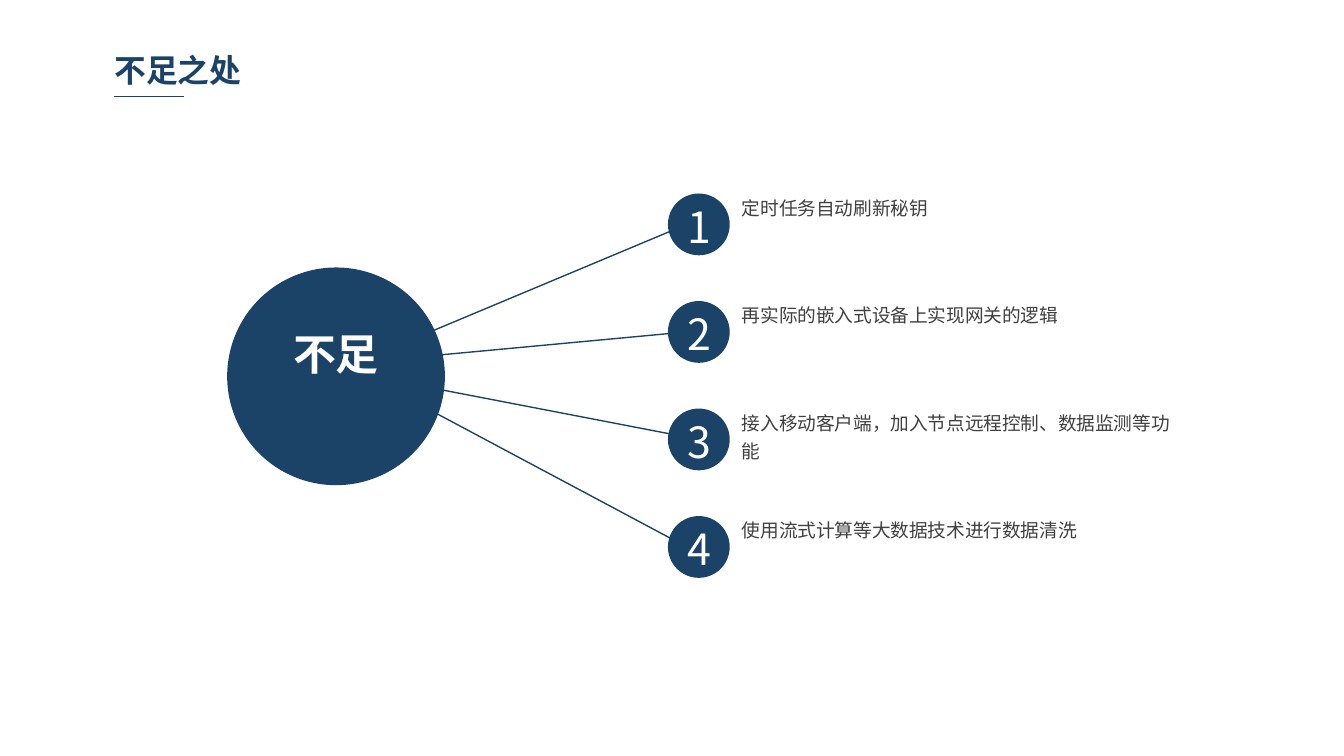
"""Build a slide that links one hub circle to four numbered shortcomings."""
from dataclasses import dataclass

from lxml.etree import SubElement
from pptx import Presentation
from pptx.dml.color import RGBColor
from pptx.enum.shapes import MSO_CONNECTOR as CONN, MSO_SHAPE as SHAPE
from pptx.enum.text import MSO_ANCHOR as ANCHOR, MSO_AUTO_SIZE as AUTO, PP_ALIGN as ALIGN
from pptx.oxml.ns import qn
from pptx.util import Inches, Pt

WIDTH = 10
HEIGHT = WIDTH * 9 / 16
NAVY, GREY, WHITE = "1B4367", "404040", "FFFFFF"
FONT = "Noto Sans CJK SC"
TOP, PITCH = 1.44, 0.8
DOT_LEFT, DOT_SIZE = 4.97, 0.46
HUB_LEFT, HUB_TOP, HUB_SIZE = 1.69, 1.99, 1.62

Point = tuple[float, float]


@dataclass(frozen=True)
class Item:
    text: str
    start: Point
    end: Point
    lines: int = 1


@dataclass(frozen=True)
class Style:
    size: float
    color: str
    bold: bool = False
    align: ALIGN = ALIGN.LEFT
    spacing: float | None = None
    inset: Point = (0.07, 0.04)


TITLE = Style(17, NAVY, bold=True)
BODY = Style(10, GREY, spacing=15)
NUMBER = Style(23, WHITE, align=ALIGN.CENTER, inset=(0.1, 0.05))
HUB = Style(23, WHITE, bold=True, align=ALIGN.CENTER, inset=(0.1, 0.05))

ITEMS = [
    Item("定时任务自动刷新秘钥", (2.65, 2.7), (5.11, 1.67)),
    Item("再实际的嵌入式设备上实现网关的逻辑", (2.64, 2.7), (5.11, 2.47)),
    Item("接入移动客户端，加入节点远程控制、数据监测等功能", (2.71, 2.79), (5.2, 3.27), 2),
    Item("使用流式计算等大数据技术进行数据清洗", (2.71, 2.79), (5.11, 4.07)),
]


def rgb(color: str) -> RGBColor:
    return RGBColor.from_string(color)


def box(*lengths: float) -> list[int]:
    return [Inches(v) for v in lengths]


def write(sp, text: str, style: Style) -> None:
    tf = sp.text_frame
    dx, dy = box(*style.inset)
    frame = dict(word_wrap=True, auto_size=AUTO.SHAPE_TO_FIT_TEXT, vertical_anchor=ANCHOR.TOP,
                 margin_left=dx, margin_right=dx, margin_top=dy, margin_bottom=dy)
    for name, value in frame.items():
        setattr(tf, name, value)
    p = tf.paragraphs[0]
    p.alignment = style.align
    if style.spacing:
        p.line_spacing = Pt(style.spacing)
    r = p.add_run()
    r.text = text
    for name, value in dict(size=Pt(style.size), bold=style.bold, name=FONT).items():
        setattr(r.font, name, value)
    r.font.color.rgb = rgb(style.color)
    SubElement(r.font._element, qn("a:ea")).set("typeface", FONT)


def add_text(shapes, text: str, style: Style, *at: float) -> None:
    write(shapes.add_textbox(*box(*at)), text, style)


def add_circle(shapes, left: float, top: float, size: float) -> None:
    sp = shapes.add_shape(SHAPE.OVAL, *box(left, top, size, size))
    sp.shadow.inherit = False
    sp.fill.solid()
    sp.fill.fore_color.rgb = rgb(NAVY)
    sp.line.fill.background()


def add_line(shapes, start: Point, end: Point) -> None:
    line = shapes.add_connector(CONN.STRAIGHT, *box(*start, *end))
    line.line.color.rgb = rgb(NAVY)
    line.line.width = Pt(0.75)
    SubElement(line._element.spPr, qn("a:effectLst"))


def add_item(shapes, row: int, item: Item) -> None:
    top = TOP + row * PITCH
    group = shapes.add_group_shape().shapes
    add_circle(group, DOT_LEFT, top, DOT_SIZE)
    add_text(group, str(row + 1), NUMBER, DOT_LEFT + 0.01, top, 0.45, 0.49)
    add_text(shapes, item.text, BODY, 5.45, top - 0.06, 3.4, 0.07 + 0.21 * item.lines)


def main() -> None:
    prs = Presentation()
    prs.slide_width, prs.slide_height = box(WIDTH, HEIGHT)
    s = prs.slides.add_slide(prs.slide_layouts[5])
    shapes = s.shapes

    title = shapes.title
    title.left, title.top, title.width, title.height = box(0.78, 0.34, 2.47, 0.36)
    write(title, "不足之处", TITLE)
    add_line(shapes, (0.85, 0.72), (1.37, 0.72))

    for item in ITEMS:
        add_line(shapes, item.start, item.end)
    for row, item in enumerate(ITEMS):
        add_item(shapes, row, item)

    hub = shapes.add_group_shape().shapes
    add_circle(hub, HUB_LEFT, HUB_TOP, HUB_SIZE)
    add_text(hub, "不足", HUB, HUB_LEFT, HUB_TOP + 0.4, HUB_SIZE, 0.49)

    prs.save("out.pptx")


if __name__ == "__main__":
    main()
